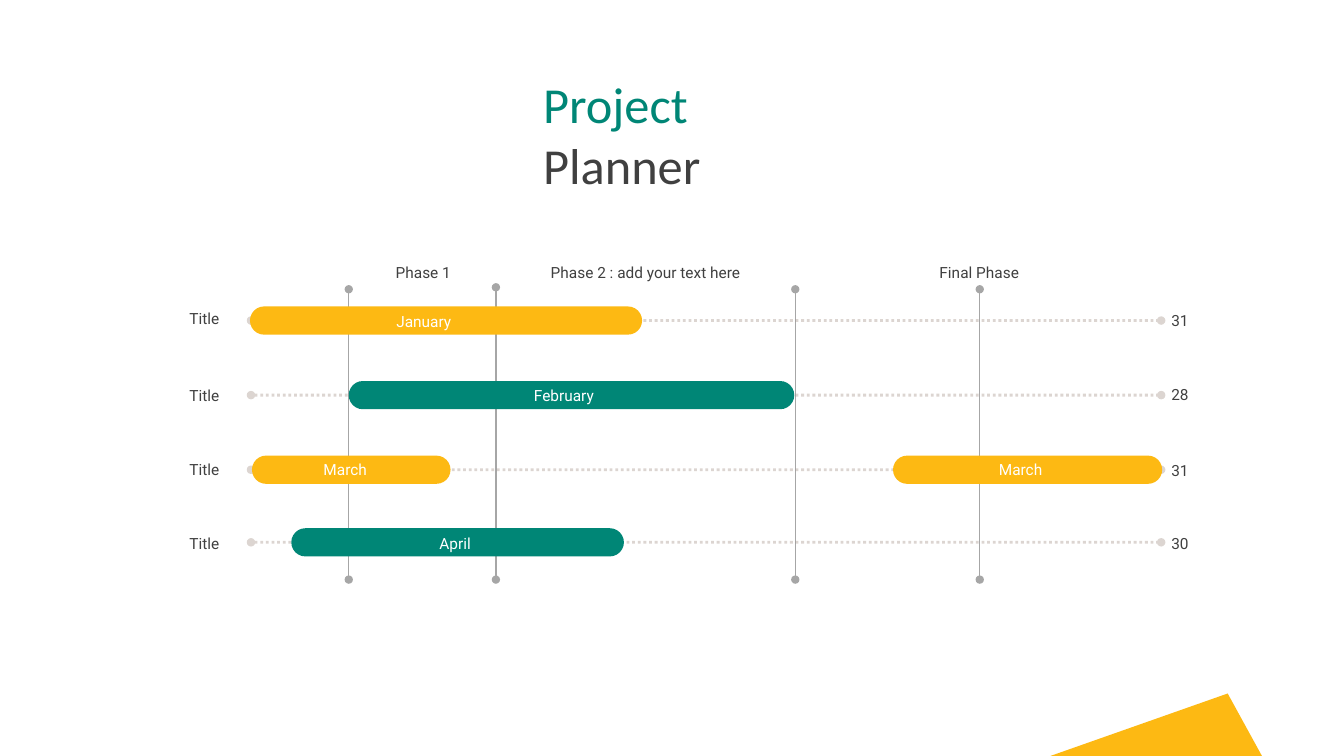
from dataclasses import dataclass
from typing import Any, NamedTuple, Optional

from lxml.etree import SubElement
from pptx import Presentation
from pptx.dml.color import RGBColor
from pptx.enum.dml import MSO_LINE
from pptx.enum.shapes import MSO_CONNECTOR as Connector
from pptx.enum.shapes import MSO_SHAPE as Preset
from pptx.enum.text import MSO_ANCHOR as Anchor
from pptx.enum.text import PP_ALIGN as Align
from pptx.oxml.ns import qn
from pptx.util import Emu, Inches, Pt

SLIDE_WIDTH, SLIDE_HEIGHT = Inches(40 / 3), Inches(7.5)
COLUMNS, ROWS = 40, 30


@dataclass(frozen=True)
class Theme:
    yellow: str = "FDB913"
    teal: str = "008676"
    ink: str = "404040"
    white: str = "FFFFFF"
    divider: str = "A6A6A6"
    track: str = "8C7667"
    track_alpha: int = 30
    label_font: str = "Roboto"
    label_size: float = 11
    heading_font: str = "Calibri"
    heading_size: float = 36


THEME = Theme()


class Box(NamedTuple):
    column: float
    row: float
    columns: float
    rows: float


class Divider(NamedTuple):
    column: float
    top: float


class Phase(NamedTuple):
    name: str
    column: float
    columns: float


class Bar(NamedTuple):
    month: str
    column: float
    columns: float
    label_column: float


class Track(NamedTuple):
    row: float
    days: str
    colour: str
    title_row: float
    days_row: float
    month_row: float
    bars: tuple[Bar, ...]


DIVIDERS = (
    Divider(29.16, 11.48),
    Divider(10.38, 11.48),
    Divider(14.76, 11.4),
    Divider(23.67, 11.48),
)
PHASES = (
    Phase("Phase 1", 10.35, 4.5),
    Phase("Phase 2 : add your text here", 14.85, 8.73),
    Phase("Final Phase", 23.67, 10.95),
)
TRACKS = (
    Track(12.72, "31", THEME.yellow, 12.04, 12.12, 12.16, (Bar("January", 7.44, 11.67, 9.78),)),
    Track(15.68, "28", THEME.teal, 15.12, 15.08, 15.12, (Bar("February", 10.38, 13.26, 13.95),)),
    Track(18.64, "31", THEME.yellow, 18.04, 18.08, 18.04,
          (Bar("March", 7.5, 5.91, 7.44), Bar("March", 26.58, 8.01, 27.54))),
    Track(21.52, "30", THEME.teal, 20.96, 20.96, 20.96, (Bar("April", 8.67, 9.9, 10.71),)),
)
PHASE_ROW, DIVIDER_END = 10.24, 23
TRACK_START, TRACK_END = 7.47, 34.56
TITLE_COLUMN, DAYS_COLUMN = 5.64, 34.86
LABEL_ROWS, BAR_ROWS, MONTH_COLUMNS = 1.16, 1.12, 5.67
CORNER = ((36.54, 27.52), (31.26, 30), (37.56, 30))


def x(column: float) -> Emu:
    return Emu(round(SLIDE_WIDTH * column / COLUMNS))


def y(row: float) -> Emu:
    return Emu(round(SLIDE_HEIGHT * row / ROWS))


def place(box: Box) -> tuple[Emu, Emu, Emu, Emu]:
    return x(box.column), y(box.row), x(box.columns), y(box.rows)


def apply(target: Any, values: dict[str, Any]) -> None:
    for name, value in values.items():
        setattr(target, name, value)


def paint(shape: Any, colour: str) -> None:
    shape.shadow.inherit = False
    shape.fill.solid()
    shape.fill.fore_color.rgb = RGBColor.from_string(colour)
    shape.line.fill.background()


def style(font: Any, face: str, size: float, colour: str) -> None:
    apply(font, {"name": face, "size": Pt(size)})
    font.color.rgb = RGBColor.from_string(colour)


def draw_label(shapes: Any, text: str, box: Box, align: Align = Align.LEFT,
               colour: str = THEME.ink) -> None:
    frame = shapes.add_textbox(*place(box)).text_frame
    apply(frame, {
        "word_wrap": True,
        "vertical_anchor": Anchor.MIDDLE,
        "margin_left": 0,
        "margin_top": 0,
        "margin_right": 0,
        "margin_bottom": 0,
    })
    paragraph = frame.paragraphs[0]
    paragraph.alignment = align
    run = paragraph.add_run()
    run.text = text
    style(run.font, THEME.label_font, THEME.label_size, colour)


def draw_line(shapes: Any, start: tuple[float, float], end: tuple[float, float],
              colour: str, width: float, dash: Optional[MSO_LINE] = None,
              alpha: int = 100) -> None:
    connector = shapes.add_connector(
        Connector.STRAIGHT, x(start[0]), y(start[1]), x(end[0]), y(end[1]))
    connector.line.color.rgb = RGBColor.from_string(colour)
    apply(connector.line, {"width": Pt(width), "dash_style": dash})
    properties = connector.element.spPr
    outline = properties.find(qn("a:ln"))
    if alpha < 100:
        SubElement(next(outline.iter(qn("a:srgbClr"))), qn("a:alpha"), val=str(alpha * 1000))
    for tip in ("a:headEnd", "a:tailEnd"):
        SubElement(outline, qn(tip), type="oval")
    SubElement(properties, qn("a:effectLst"))


def draw_corner(shapes: Any) -> None:
    first, *rest = [(x(column), y(row)) for column, row in CORNER]
    builder = shapes.build_freeform(*first)
    builder.add_line_segments(rest, close=True)
    paint(builder.convert_to_shape(), THEME.yellow)


def draw_phases(shapes: Any) -> None:
    for divider in DIVIDERS:
        draw_line(shapes, divider, (divider.column, DIVIDER_END), THEME.divider, 1)
    for phase in PHASES:
        draw_label(shapes, phase.name, Box(phase.column, PHASE_ROW, phase.columns, LABEL_ROWS),
                   Align.CENTER)


def draw_track(shapes: Any, track: Track) -> None:
    draw_line(shapes, (TRACK_START, track.row), (TRACK_END, track.row), THEME.track, 2,
              MSO_LINE.ROUND_DOT, THEME.track_alpha)
    draw_label(shapes, track.days, Box(DAYS_COLUMN, track.days_row, 1.56, LABEL_ROWS))
    draw_label(shapes, "Title", Box(TITLE_COLUMN, track.title_row, 3.12, LABEL_ROWS))
    for bar in track.bars:
        box = Box(bar.column, track.row - BAR_ROWS / 2, bar.columns, BAR_ROWS)
        span = shapes.add_shape(Preset.ROUNDED_RECTANGLE, *place(box))
        span.adjustments[0] = 0.5
        paint(span, track.colour)
        draw_label(shapes, bar.month,
                   Box(bar.label_column, track.month_row, MONTH_COLUMNS, LABEL_ROWS),
                   Align.CENTER, THEME.white)


def draw_heading(shapes: Any) -> None:
    frame = shapes.add_textbox(*place(Box(15.87, 2.72, 9, 2.84))).text_frame
    frame.word_wrap = True
    heading = frame.paragraphs[0]
    for word, colour in (("Project", THEME.teal), ("Planner", THEME.ink)):
        if heading.runs:
            heading.add_line_break()
        run = heading.add_run()
        run.text = word
        style(run.font, THEME.heading_font, THEME.heading_size, colour)


def main() -> None:
    deck = Presentation()
    apply(deck, {"slide_width": SLIDE_WIDTH, "slide_height": SLIDE_HEIGHT})
    shapes = deck.slides.add_slide(deck.slide_layouts[6]).shapes
    draw_corner(shapes)
    draw_phases(shapes)
    for track in TRACKS:
        draw_track(shapes, track)
    draw_heading(shapes)
    deck.save("out.pptx")


if __name__ == "__main__":
    main()
